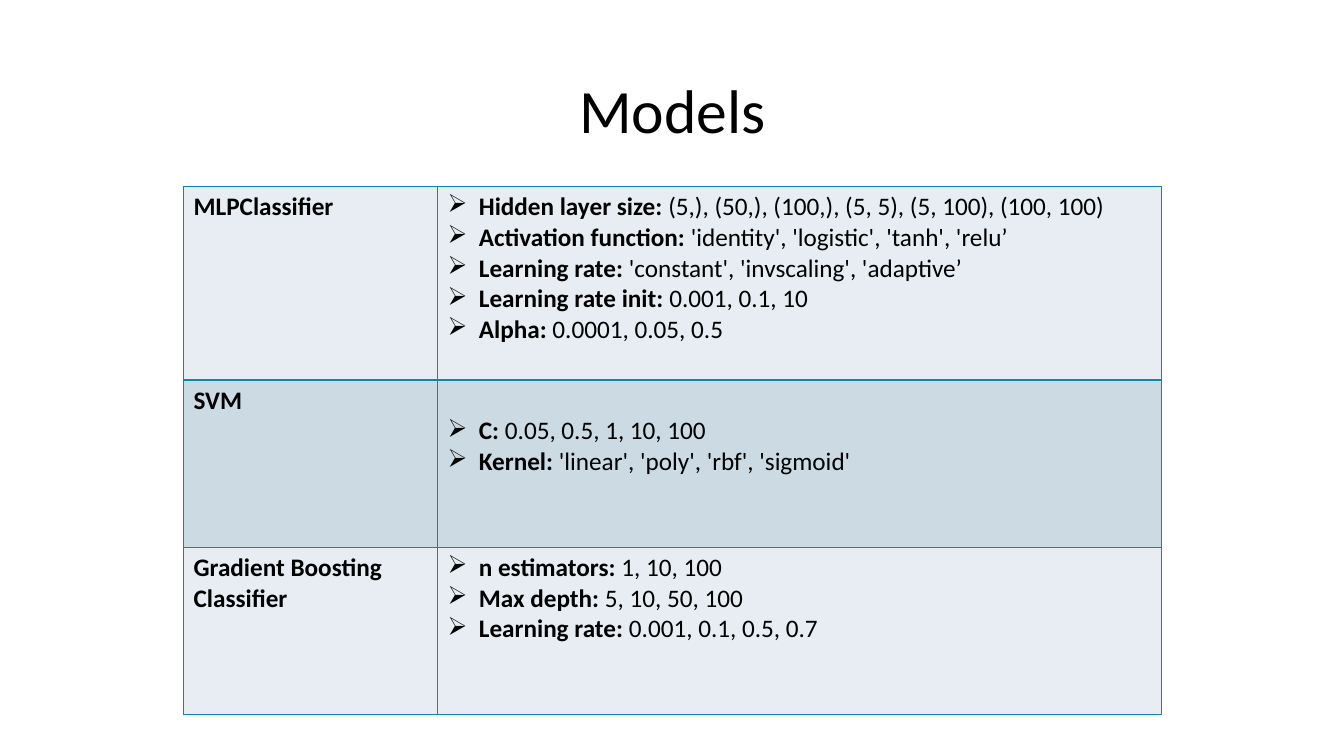
from lxml import etree
from pptx import Presentation
from pptx.dml.color import RGBColor
from pptx.enum.text import MSO_ANCHOR, PP_ALIGN
from pptx.oxml.ns import qn
from pptx.util import Inches, Pt

CENTER, LEFT = PP_ALIGN.CENTER, PP_ALIGN.LEFT
MIDDLE = MSO_ANCHOR.MIDDLE

BLACK = RGBColor(0x00, 0x00, 0x00)
TEAL = RGBColor(0x09, 0x89, 0xB1)
PALE = RGBColor(0xE7, 0xED, 0xF2)
MIST = RGBColor(0xCC, 0xDA, 0xE4)

BULLET_INDENT = Inches(0.31)

# Each model: name, space above its settings in grid units, settings
MODELS = [
    ("MLPClassifier", 0.5, [
        ("Hidden layer size: ", "(5,), (50,), (100,), (5, 5), (5, 100), (100, 100)"),
        ("Activation function: ", "'identity', 'logistic', 'tanh', 'relu’"),
        ("Learning rate: ", "'constant', 'invscaling', 'adaptive’"),
        ("Learning rate init: ", "0.001, 0.1, 10"),
        ("Alpha: ", "0.0001, 0.05, 0.5"),
    ]),
    ("SVM", 3.55, [
        ("C: ", "0.05, 0.5, 1, 10, 100"),
        ("Kernel: ", "'linear', 'poly', 'rbf', 'sigmoid'"),
    ]),
    ("Gradient Boosting Classifier", 0.5, [
        ("n estimators: ", "1, 10, 100"),
        ("Max depth: ", "5, 10, 50, 100"),
        ("Learning rate: ", "0.001, 0.1, 0.5, 0.7"),
    ]),
]


def write(para, text, size=18, bold=False, color=BLACK, font="Calibri"):
    """Add one formatted span of text to a paragraph."""
    span = para.add_run()
    span.text = text
    span.font.name = font
    span.font.size = Pt(size)
    span.font.bold = bold
    span.font.color.rgb = color


class SlideBuilder:
    """Holds the grid, the line style and the current slide."""

    unit = Inches(0.1)
    border_color = TEAL
    border_width = Pt(1)

    def __init__(self, deck):
        self.slide = deck.slides.add_slide(deck.slide_layouts[6])

    def grid(self, *counts):
        return [round(count * self.unit) for count in counts]

    def title(self, text, column, row, columns, rows):
        box = self.slide.shapes.add_textbox(*self.grid(column, row, columns, rows))
        frame = box.text_frame
        frame.word_wrap = True
        frame.vertical_anchor = MIDDLE
        para = frame.paragraphs[0]
        para.alignment = CENTER
        para.line_spacing = 0.9
        write(para, text, size=44)

    def table(self, column, row, widths, heights):
        place = self.grid(column, row, sum(widths), sum(heights))
        table = self.slide.shapes.add_table(len(heights), len(widths), *place).table
        table.first_row = False
        table.horz_banding = False
        for table_column, width in zip(table.columns, self.grid(*widths)):
            table_column.width = width
        for table_row, height in zip(table.rows, self.grid(*heights)):
            table_row.height = height
        return table

    def style_cell(self, cell, fill):
        cell.fill.solid()
        cell.fill.fore_color.rgb = fill
        properties = cell._tc.get_or_add_tcPr()
        for position, side in enumerate(("a:lnL", "a:lnR", "a:lnT", "a:lnB")):
            line = etree.Element(qn(side), w=str(self.border_width))
            solid = etree.SubElement(line, qn("a:solidFill"))
            etree.SubElement(solid, qn("a:srgbClr"), val=str(self.border_color))
            properties.insert(position, line)

    def bullets(self, cell, settings, space_above):
        cell.margin_top = self.grid(space_above)[0]
        frame = cell.text_frame
        for index, (label, values) in enumerate(settings):
            para = frame.add_paragraph() if index else frame.paragraphs[0]
            properties = para._p.get_or_add_pPr()
            properties.set("marL", str(BULLET_INDENT))
            properties.set("indent", str(-BULLET_INDENT))
            etree.SubElement(properties, qn("a:buChar"), char="➢")
            para.alignment = LEFT
            write(para, label, bold=True)
            write(para, values)


def main():
    deck = Presentation()
    deck.slide_width, deck.slide_height = Inches(13.33), Inches(7.5)
    builder = SlideBuilder(deck)

    # Heading
    builder.title("Models", 9.2, 4, 115, 14.5)

    # Models and their settings, in alternating row colours
    table = builder.table(18.2, 18.5, (25.2, 71.8), (19.2, 16.6, 16.6))
    for index, (name, space_above, settings) in enumerate(MODELS):
        name_cell, settings_cell = table.rows[index].cells
        for cell in (name_cell, settings_cell):
            builder.style_cell(cell, MIST if index % 2 else PALE)
        write(name_cell.text_frame.paragraphs[0], name, bold=True)
        builder.bullets(settings_cell, settings, space_above)

    deck.save("out.pptx")


if __name__ == "__main__":
    main()
